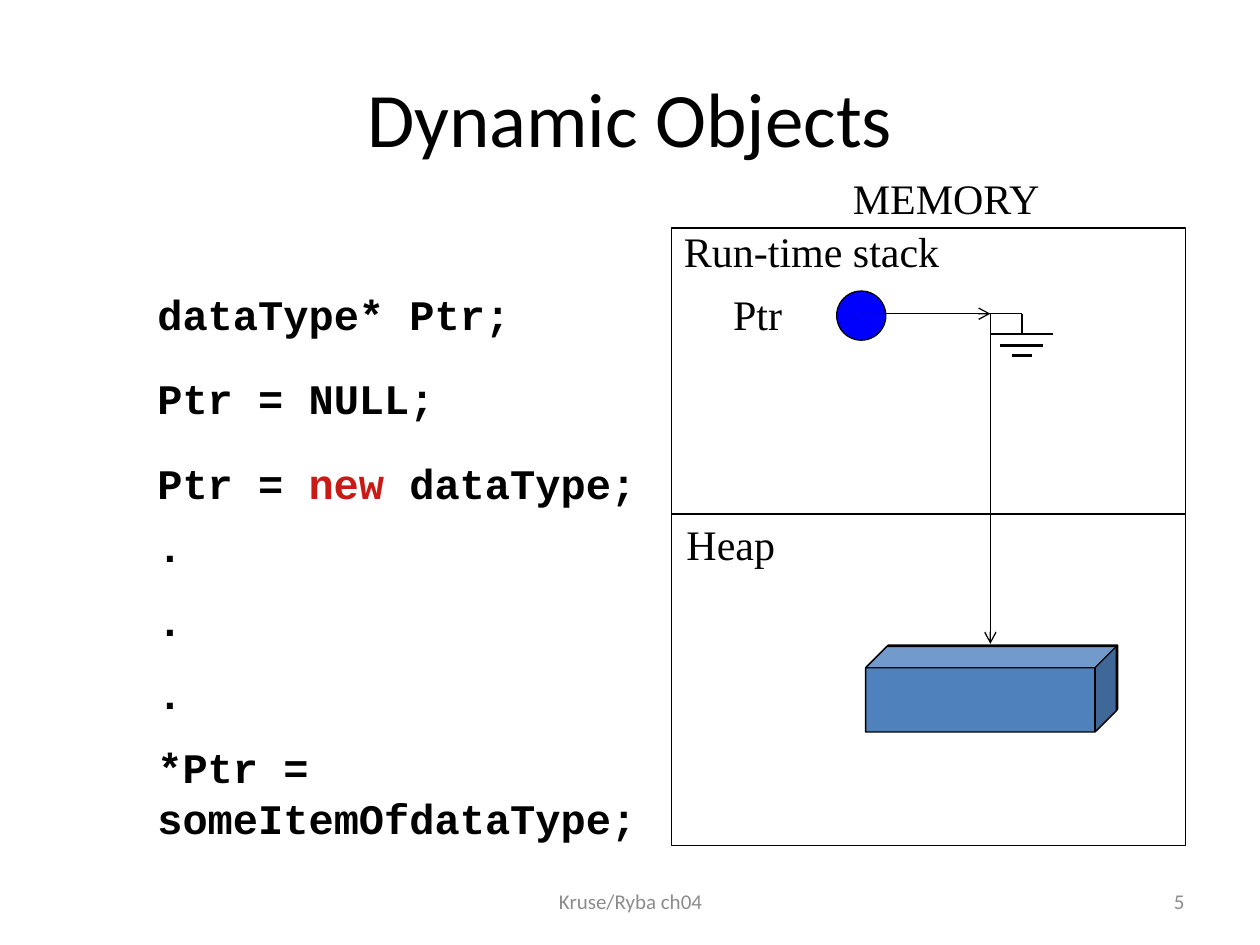
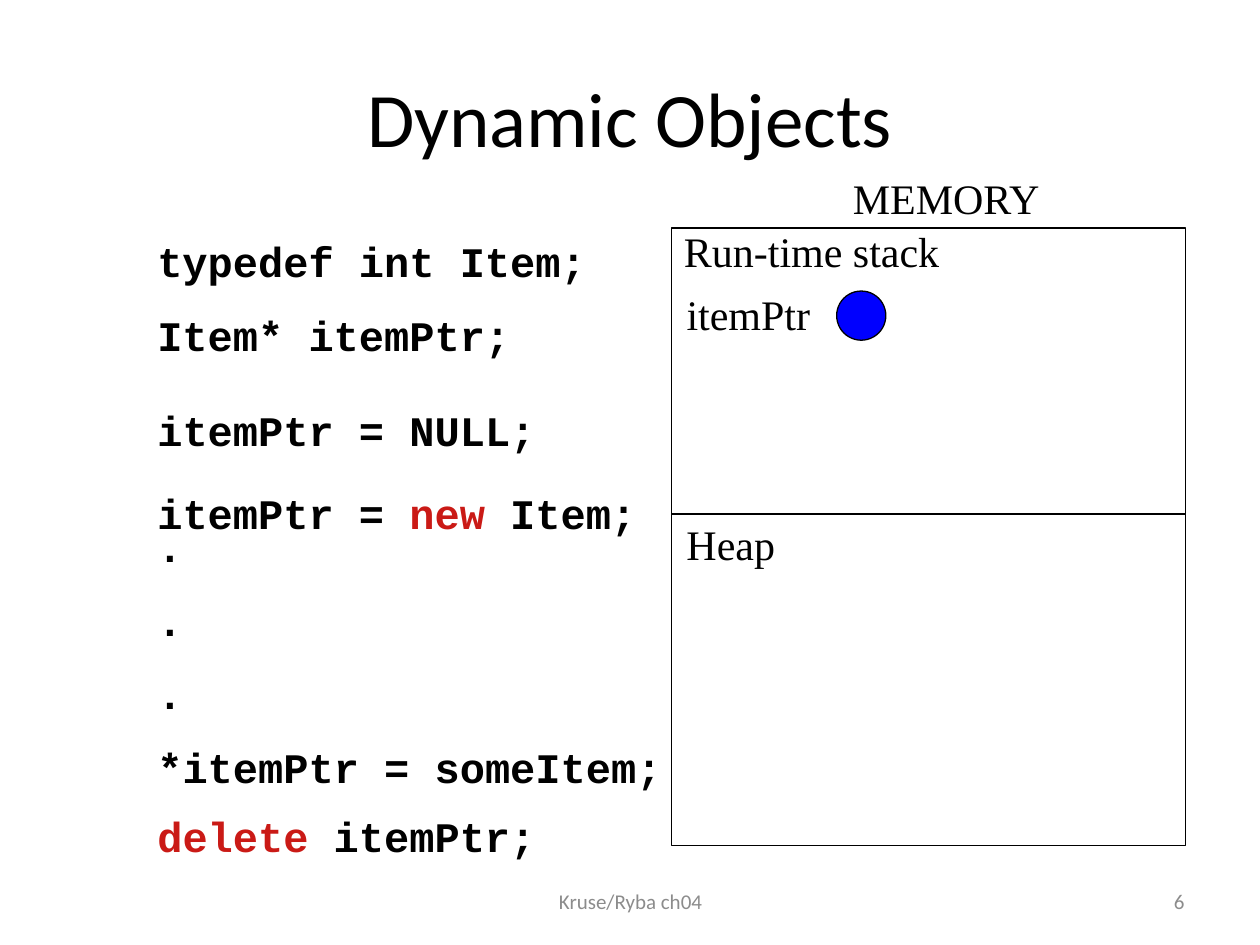
import pptx
import pptx.util
import pptx.dml.color
from dataclasses import dataclass
from lxml import etree
from pptx.enum.shapes import MSO_CONNECTOR, MSO_SHAPE
from pptx.enum.text import MSO_ANCHOR, PP_ALIGN
from pptx.oxml.ns import qn

Inches, Pt = pptx.util.Inches, pptx.util.Pt


@dataclass(frozen=True)
class Theme:
    black: str = "000000"
    grey: str = "8C8C8C"
    keyword: str = "CA1A16"
    pointer: str = "0000FF"
    block: str = "4F81BD"
    sans: str = "Calibri"
    serif: str = "Times New Roman"
    mono: str = "Courier New"
    title_size: float = 44
    body_size: float = 24
    footer_size: float = 12
    thin: float = 0.75
    thick: float = 1.5
    para_gap: float = 13.4


T = Theme()
TITLE = "Dynamic Objects"
FOOTER = "Kruse/Ryba ch04"
KEYWORDS = {"new", "delete"}
CODE_LEFT = 1.15
LABEL_H = 0.5
MEMORY = (5.33, 1.81, 4.08, 4.9)
HEAP_TOP = 4.08
POINTER = (6.64, 2.31, 0.39, 0.39)
MEMORY_LABELS = [
    ("MEMORY", 6.67, 1.32, 2.67),
    ("Run-time stack", 5.33, 1.74, 2.46),
    ("Heap", 5.35, 4.07, 2.46),
]

SLIDES = [
    {
        "number": "5",
        "pointer_label": ("Ptr", 5.72, 2.24, 0.9),
        "code": [
            (2.24, 3.28, 0.51, [["dataType* Ptr;"]]),
            (2.91, 3.28, 0.51, [["Ptr = NULL;"]]),
            (3.58, 4.72, 0.5, [["Ptr = ", "new", " dataType;"]]),
            (4.08, 4.72, 2.73, [["."], ["."], ["."], ["*Ptr = someItemOfdataType;"]]),
        ],
        "lines": [
            ((6.83, 2.49), (8.11, 2.49), T.thin, False),
            ((7.94, 2.74), (8.28, 2.74), T.thick, False),
            ((8.03, 2.82), (8.19, 2.82), T.thick, False),
            ((7.86, 2.65), (8.36, 2.65), T.thick, False),
            ((8.11, 2.65), (8.11, 2.49), T.thick, False),
            ((6.83, 2.49), (7.86, 2.49), T.thin, True),
            ((7.86, 2.49), (7.86, 5.11), T.thin, True),
        ],
        "cubes": [
            ((6.88, 5.12, 1.99, 0.68), None),
            ((6.87, 5.13, 1.99, 0.68), T.block),
        ],
    },
    {
        "number": "6",
        "pointer_label": ("itemPtr", 5.35, 2.24, 1.32),
        "code": [
            (1.82, 3.93, 1.11, [["typedef int Item;"], ["Item* itemPtr;"]]),
            (3.16, 3.28, 0.5, [["itemPtr = NULL;"]]),
            (3.82, 4.72, 0.5, [["itemPtr = ", "new", " Item;"]]),
            (4.08, 4.72, 2.3, [["."], ["."], ["."], ["*itemPtr = someItem;"]]),
            (6.38, 3.28, 0.5, [["delete", " itemPtr;"]]),
        ],
        "lines": [],
        "cubes": [],
    },
]


def rgb(value):
    return pptx.dml.color.RGBColor.from_string(value)


def add_text(s, box, paragraphs, font, size, color=T.black, bold=False,
             align=PP_ALIGN.LEFT, anchor=MSO_ANCHOR.TOP):
    tf = s.shapes.add_textbox(*map(Inches, box)).text_frame
    tf.word_wrap = True
    tf.vertical_anchor = anchor
    for i, runs in enumerate(paragraphs):
        p = tf.add_paragraph() if i else tf.paragraphs[0]
        if i:
            p.space_before = Pt(T.para_gap)
        p.alignment = align
        p.font.name = font
        p.font.size = Pt(size)
        p.font.bold = bold
        p.font.color.rgb = rgb(color)
        for text in runs:
            r = p.add_run()
            r.text = text
            if text in KEYWORDS:
                r.font.color.rgb = rgb(T.keyword)


def add_label(s, text, left, top, width):
    add_text(s, (left, top, width, LABEL_H), [[text]], T.serif, T.body_size)


def add_shape(s, kind, box, fill=None):
    sp = s.shapes.add_shape(kind, *map(Inches, box))
    sp.shadow.inherit = False
    if fill:
        sp.fill.solid()
        sp.fill.fore_color.rgb = rgb(fill)
    else:
        sp.fill.background()
    sp.line.color.rgb = rgb(T.black)
    sp.line.width = Pt(T.thin)
    return sp


def add_line(s, start, end, width=T.thin, arrow=False):
    c = s.shapes.add_connector(MSO_CONNECTOR.STRAIGHT, *map(Inches, start + end))
    c.line.color.rgb = rgb(T.black)
    c.line.width = Pt(width)
    if arrow:
        etree.SubElement(c.line._get_or_add_ln(), qn("a:tailEnd"), type="arrow")
    etree.SubElement(c._element.spPr, qn("a:effectLst"))


def add_frame(s, number):
    footer = dict(font=T.sans, size=T.footer_size, color=T.grey, anchor=MSO_ANCHOR.MIDDLE)
    add_text(s, (3.42, 6.95, 3.17, 0.4), [[FOOTER]], align=PP_ALIGN.CENTER, **footer)
    add_text(s, (7.17, 6.95, 2.33, 0.4), [[number]], align=PP_ALIGN.RIGHT, **footer)
    add_text(s, (0.5, 0.3, 9, 1.25), [[TITLE]], T.sans, T.title_size,
             align=PP_ALIGN.CENTER, anchor=MSO_ANCHOR.MIDDLE)


def add_memory(s, pointer_label):
    left, _, width, _ = MEMORY
    add_shape(s, MSO_SHAPE.RECTANGLE, MEMORY)
    add_line(s, (left, HEAP_TOP), (left + width, HEAP_TOP))
    for label in MEMORY_LABELS + [pointer_label]:
        add_label(s, *label)
    add_shape(s, MSO_SHAPE.OVAL, POINTER, T.pointer)


def build_slide(prs, content):
    s = prs.slides.add_slide(prs.slide_layouts[6])
    add_frame(s, content["number"])
    add_memory(s, content["pointer_label"])
    for top, width, height, code in content["code"]:
        add_text(s, (CODE_LEFT, top, width, height), code, T.mono, T.body_size, bold=True)
    for line in content["lines"]:
        add_line(s, *line)
    for box, fill in content["cubes"]:
        add_shape(s, MSO_SHAPE.CUBE, box, fill).adjustments[0] = 0.25


def main():
    prs = pptx.Presentation()
    prs.slide_width, prs.slide_height = Inches(10), Inches(7.5)
    for content in SLIDES:
        build_slide(prs, content)
    prs.save("out.pptx")


if __name__ == "__main__":
    main()
